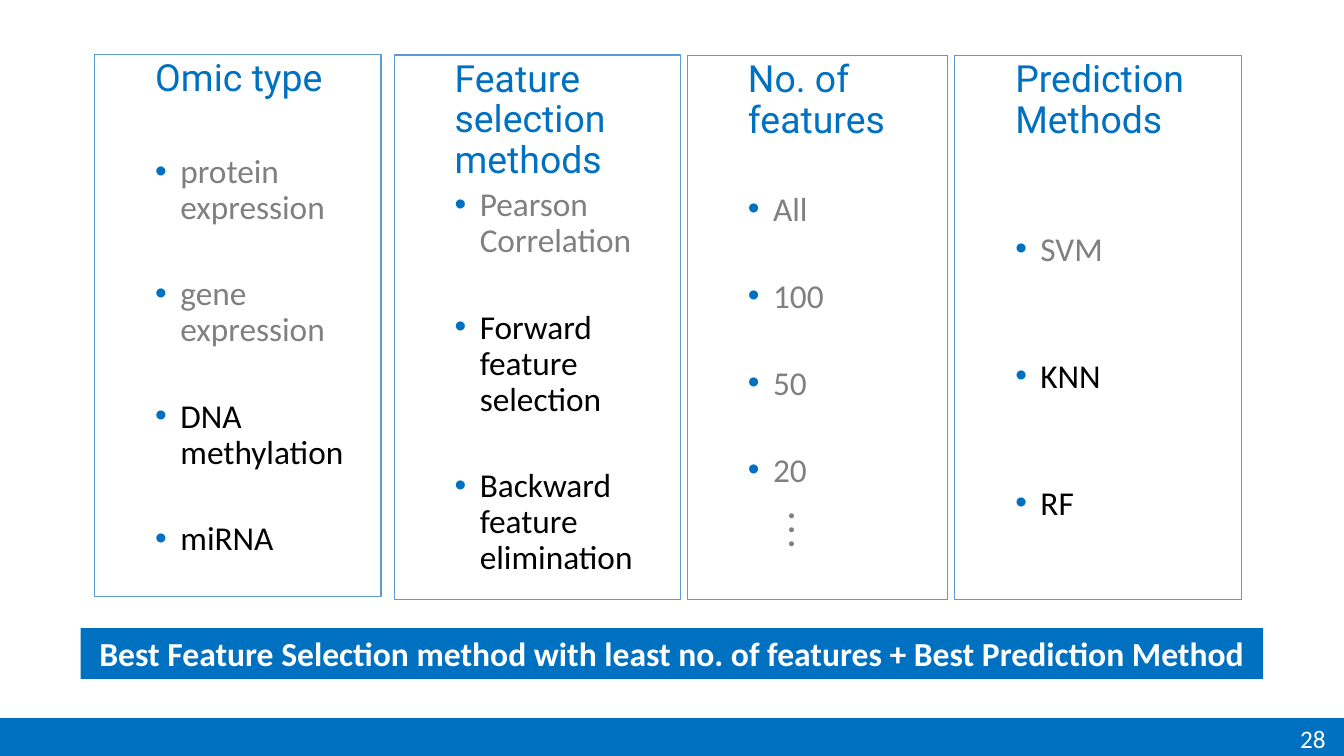
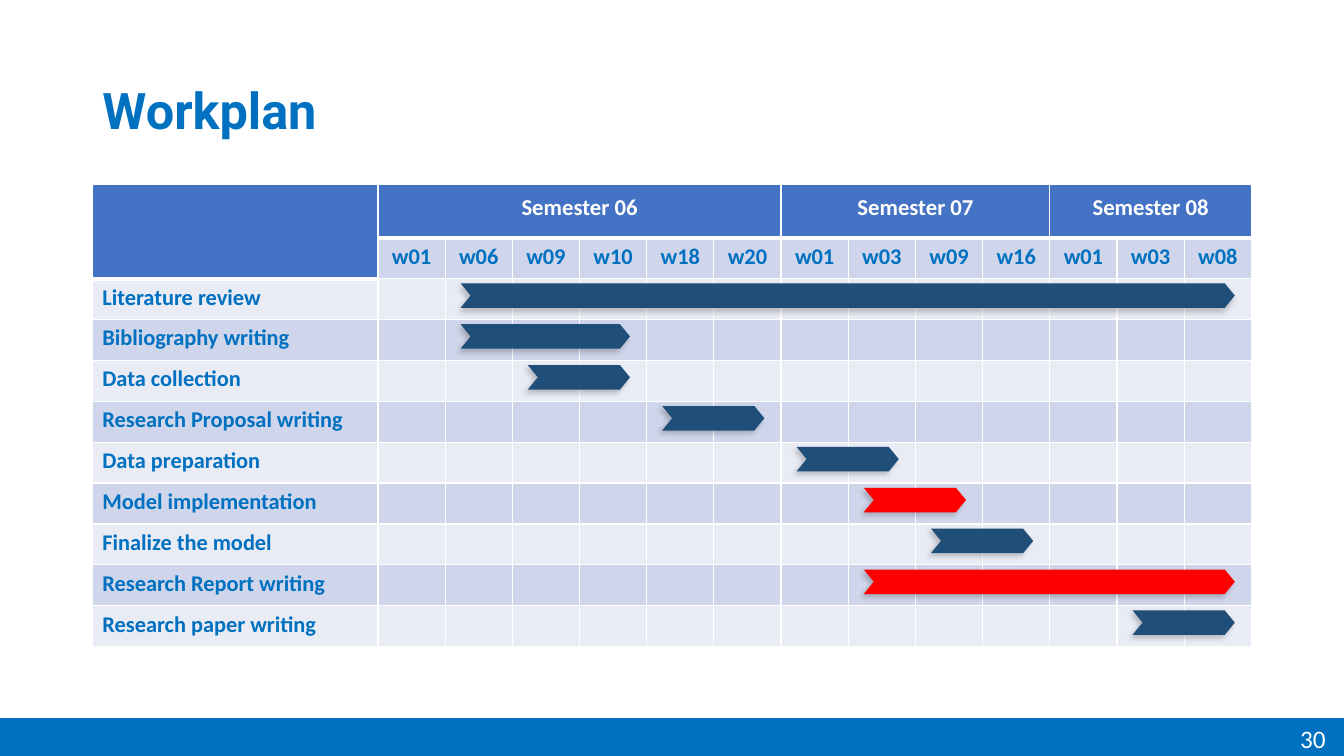
"""Build the feature-selection options slide and the workplan slide."""
from dataclasses import dataclass

from lxml import etree
from pptx import Presentation
from pptx.dml.color import RGBColor
from pptx.enum import shapes, text
from pptx.oxml import parse_xml
from pptx.oxml.ns import nsdecls, qn
from pptx.util import Pt

ALIGN = text.PP_ALIGN
ANCHOR = text.MSO_ANCHOR


@dataclass(frozen=True)
class Theme:
    """Colours, fonts and type sizes shared by the slides."""

    accent: str = "0070C0"
    outline: str = "5B9BD5"
    muted: str = "808080"
    black: str = "000000"
    white: str = "FFFFFF"
    header: str = "4472C4"
    dark_row: str = "CFD5EA"
    light_row: str = "E9EBF5"
    planned: str = "1F4E79"
    current: str = "FF0000"
    heading_font: str = "Roboto"
    body_font: str = "Calibri"
    title_size: float = 36
    heading_size: float = 26.7
    item_size: float = 23.8
    banner_size: float = 24
    number_size: float = 18
    semester_size: float = 28
    table_size: float = 16


THEME = Theme()
WIDTH, HEIGHT = 960, 540
BAND_TOP = 513

COLUMNS = [
    {"box": (67.7, 39, 204.5, 387.4), "heading": "Omic type",
     "items": ["protein expression", "gene expression", "DNA methylation", "miRNA"],
     "muted": 2, "first_gap": 39, "gap": 36, "spacing": 0.9},
    {"box": (281.5, 39.3, 204.5, 388.8), "heading": "Feature selection methods",
     "items": ["Pearson Correlation", "Forward feature selection",
               "Backward feature elimination"],
     "muted": 1, "first_gap": 5, "gap": 36, "spacing": 0.9},
    {"box": (491, 39.6, 185.5, 388.8), "heading": "No. of features",
     "items": ["All", "100", "50", "20"],
     "muted": 4, "first_gap": 5, "gap": 5, "spacing": 2.0},
    {"box": (682, 39.6, 204.5, 388.8), "heading": "Prediction Methods",
     "items": ["SVM", "KNN", "RF"],
     "muted": 1, "first_gap": 5, "gap": 5, "spacing": 3.0},
]

SEMESTERS = [
    ("Semester 06", ["w01", "w06", "w09", "w10", "w18", "w20"]),
    ("Semester 07", ["w01", "w03", "w09", "w16"]),
    ("Semester 08", ["w01", "w03", "w08"]),
]
TASKS = [
    ("Literature review", 1, 12, THEME.planned),
    ("Bibliography writing", 1, 3, THEME.planned),
    ("Data collection", 2, 3, THEME.planned),
    ("Research Proposal writing", 4, 5, THEME.planned),
    ("Data preparation", 6, 7, THEME.planned),
    ("Model implementation", 7, 8, THEME.current),
    ("Finalize the model", 8, 9, THEME.planned),
    ("Research Report writing", 7, 12, THEME.current),
    ("Research paper writing", 11, 12, THEME.planned),
]
LABEL_WIDTH, WEEK_WIDTH = 204, 48
HEADER_HEIGHT, ROW_HEIGHT = 37.8, 29.2


def points(box):
    """Convert a box of numbers to lengths."""
    return [Pt(value) for value in box]


def write(paragraph, content, *, size, color, font=THEME.body_font, bold=False,
          align=ALIGN.LEFT, spacing=None, before=0, baseline=None):
    """Write one formatted run into a paragraph."""
    paragraph.alignment = align
    paragraph.space_before = Pt(before)
    if spacing is not None:
        paragraph.line_spacing = spacing
    run = paragraph.add_run()
    run.text = content
    run.font.name = font
    run.font.size = Pt(size)
    run.font.bold = bold
    run.font.color.rgb = RGBColor.from_string(color)
    if baseline:
        run.font._element.set("baseline", str(baseline))


def indent(paragraph, left, hanging=0, bullet=False):
    """Set a paragraph's indent and its bullet."""
    properties = paragraph._p.get_or_add_pPr()
    properties.set("marL", str(Pt(left)))
    properties.set("indent", str(-Pt(hanging)))
    if not bullet:
        etree.SubElement(properties, qn("a:buNone"))
        return
    color = etree.SubElement(properties, qn("a:buClr"))
    etree.SubElement(color, qn("a:srgbClr"), val=THEME.accent)
    etree.SubElement(properties, qn("a:buFont"), typeface="Arial")
    etree.SubElement(properties, qn("a:buChar"), char="•")


def add_filled(slide, kind, box, color):
    """Add a flat filled shape without an outline."""
    shape = slide.shapes.add_shape(kind, *points(box))
    shape.shadow.inherit = False
    shape.fill.solid()
    shape.fill.fore_color.rgb = RGBColor.from_string(color)
    shape.line.fill.background()
    return shape


def add_text_box(slide, box):
    """Add a wrapping text box and return its frame."""
    frame = slide.shapes.add_textbox(*points(box)).text_frame
    frame.word_wrap = True
    return frame


def place(shape, box):
    """Move a placeholder to a box."""
    shape.left, shape.top, shape.width, shape.height = points(box)
    shape.text_frame.word_wrap = True
    shape.text_frame.auto_size = text.MSO_AUTO_SIZE.NONE


def add_footer(slide, number):
    """Add the bottom band and the slide number."""
    add_filled(slide, shapes.MSO_SHAPE.RECTANGLE,
               (0, BAND_TOP, WIDTH, HEIGHT - BAND_TOP), THEME.accent)
    frame = add_text_box(slide, (915, BAND_TOP, 39, 29))
    write(frame.paragraphs[0], number, size=THEME.number_size, color=THEME.white,
          align=ALIGN.RIGHT)


def fill_column(shape, box, heading, items, muted, first_gap, gap, spacing):
    """Fill one outlined column with a heading and bulleted items."""
    place(shape, box)
    shape.line.color.rgb = RGBColor.from_string(THEME.outline)
    shape.line.width = Pt(0.75)
    frame = shape.text_frame
    frame.vertical_anchor = ANCHOR.TOP
    indent(frame.paragraphs[0], 36)
    write(frame.paragraphs[0], heading, size=THEME.heading_size, color=THEME.accent,
          font=THEME.heading_font, spacing=0.9)
    for index, item in enumerate(items):
        paragraph = frame.add_paragraph()
        indent(paragraph, 54, hanging=18, bullet=True)
        write(paragraph, item, size=THEME.item_size, align=ALIGN.JUSTIFY,
              color=THEME.muted if index < muted else THEME.black,
              spacing=spacing, before=gap if index else first_gap)


def add_ellipsis(slide, box):
    """Add three stacked dots."""
    frame = add_text_box(slide, box)
    for index in range(3):
        paragraph = frame.add_paragraph() if index else frame.paragraphs[0]
        write(paragraph, ".", size=THEME.banner_size, color=THEME.muted, bold=True,
              align=ALIGN.CENTER, spacing=Pt(10))


def add_banner(slide, box, content):
    """Add the summary banner."""
    shape = add_filled(slide, shapes.MSO_SHAPE.RECTANGLE, box, THEME.accent)
    frame = shape.text_frame
    frame.word_wrap = True
    frame.vertical_anchor = ANCHOR.MIDDLE
    write(frame.paragraphs[0], content, size=THEME.banner_size, color=THEME.white,
          bold=True, align=ALIGN.CENTER)


def build_options_slide(presentation):
    """Build the slide of four option columns."""
    slide = presentation.slides.add_slide(
        presentation.slide_layouts.get_by_name("Comparison"))
    title = slide.shapes.title._element
    title.getparent().remove(title)
    for shape, column in zip(slide.placeholders, COLUMNS):
        fill_column(shape, **column)
    add_ellipsis(slide, (530, 361.5, 71, 42))
    add_banner(slide, (57.6, 448.6, 844.6, 36.3),
               "Best Feature Selection method with least no. of features"
               " + Best Prediction Method")
    add_footer(slide, "28")


def style_cell(cell, color, bottom=1):
    """Give a cell white borders and a fill."""
    properties = cell._tc.get_or_add_tcPr()
    for side, width in (("L", 1), ("R", 1), ("T", 1), ("B", bottom)):
        properties.append(parse_xml(
            f'<a:ln{side} {nsdecls("a")} w="{Pt(width)}"><a:solidFill>'
            f'<a:srgbClr val="{THEME.white}"/></a:solidFill></a:ln{side}>'))
    cell.fill.solid()
    cell.fill.fore_color.rgb = RGBColor.from_string(color)


def add_schedule(slide, left, top):
    """Add the table of semesters, weeks and tasks."""
    weeks = [week for _, names in SEMESTERS for week in names]
    row_count = len(TASKS) + 2
    size = (LABEL_WIDTH + WEEK_WIDTH * len(weeks),
            HEADER_HEIGHT + ROW_HEIGHT * (row_count - 1))
    table = slide.shapes.add_table(
        row_count, len(weeks) + 1, *points((left, top, *size))).table
    for index, column in enumerate(table.columns):
        column.width = Pt(WEEK_WIDTH if index else LABEL_WIDTH)
    for index, row in enumerate(table.rows):
        row.height = Pt(ROW_HEIGHT if index else HEADER_HEIGHT)
        for position, cell in enumerate(row.cells):
            if index == 0 or (index == 1 and position == 0):
                style_cell(cell, THEME.header, bottom=3)
            else:
                style_cell(cell, THEME.dark_row if index % 2 else THEME.light_row)
    table.cell(0, 0).merge(table.cell(1, 0))
    start = 1
    for name, names in SEMESTERS:
        cell = table.cell(0, start)
        cell.merge(table.cell(0, start + len(names) - 1))
        cell.vertical_anchor = ANCHOR.BOTTOM
        cell.margin_bottom = 0
        write(cell.text_frame.paragraphs[0], name, size=THEME.semester_size,
              color=THEME.white, bold=True, align=ALIGN.CENTER, baseline=30000)
        start += len(names)
    labels = [(1, index, week, ALIGN.CENTER) for index, week in enumerate(weeks, 1)]
    labels += [(index, 0, task[0], ALIGN.LEFT) for index, task in enumerate(TASKS, 2)]
    for row, column, label, align in labels:
        write(table.cell(row, column).text_frame.paragraphs[0], label,
              size=THEME.table_size, color=THEME.accent, bold=True, align=align)


def add_task_bars(slide, left, top):
    """Add a shadowed chevron over the weeks of each task."""
    first_left = left + LABEL_WIDTH + 11
    first_top = top + HEADER_HEIGHT + ROW_HEIGHT + 3.4
    for index, (_, start, end, color) in enumerate(TASKS):
        box = (first_left + start * WEEK_WIDTH, first_top + index * ROW_HEIGHT,
               (end - start + 1) * WEEK_WIDTH - 23, 17.5)
        bar = add_filled(slide, shapes.MSO_SHAPE.CHEVRON, box, color)
        bar.adjustments[0] = 0.41
        effects = bar._element.spPr.find(qn("a:effectLst"))
        effects.append(parse_xml(
            f'<a:outerShdw {nsdecls("a")} blurRad="{Pt(4)}" dist="{Pt(3)}" '
            f'dir="{135 * 60000}" algn="tr" rotWithShape="0">'
            f'<a:srgbClr val="{THEME.black}"><a:alpha val="22000"/></a:srgbClr>'
            '</a:outerShdw>'))


def build_workplan_slide(presentation):
    """Build the slide with the schedule chart."""
    slide = presentation.slides.add_slide(
        presentation.slide_layouts.get_by_name("Title Only"))
    title = slide.shapes.title
    place(title, (66, 28.8, 828, 104.4))
    title.text_frame.vertical_anchor = ANCHOR.MIDDLE
    write(title.text_frame.paragraphs[0], "Workplan", size=THEME.title_size,
          color=THEME.accent, font=THEME.heading_font, bold=True, spacing=0.9)
    add_schedule(slide, 66, 132)
    add_task_bars(slide, 66, 132)
    add_footer(slide, "30")


def main():
    """Create and save the presentation."""
    presentation = Presentation()
    presentation.slide_width = Pt(WIDTH)
    presentation.slide_height = Pt(HEIGHT)
    build_options_slide(presentation)
    build_workplan_slide(presentation)
    presentation.save("out.pptx")


if __name__ == "__main__":
    main()
